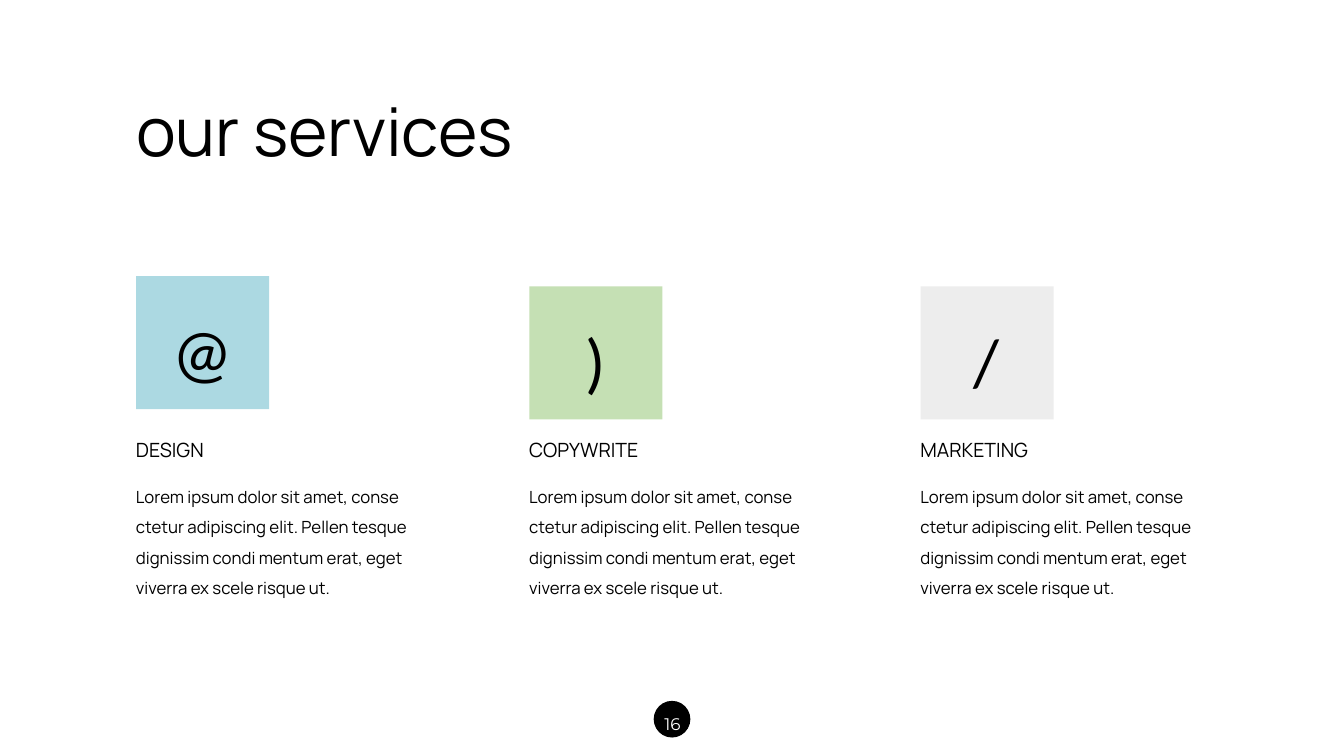
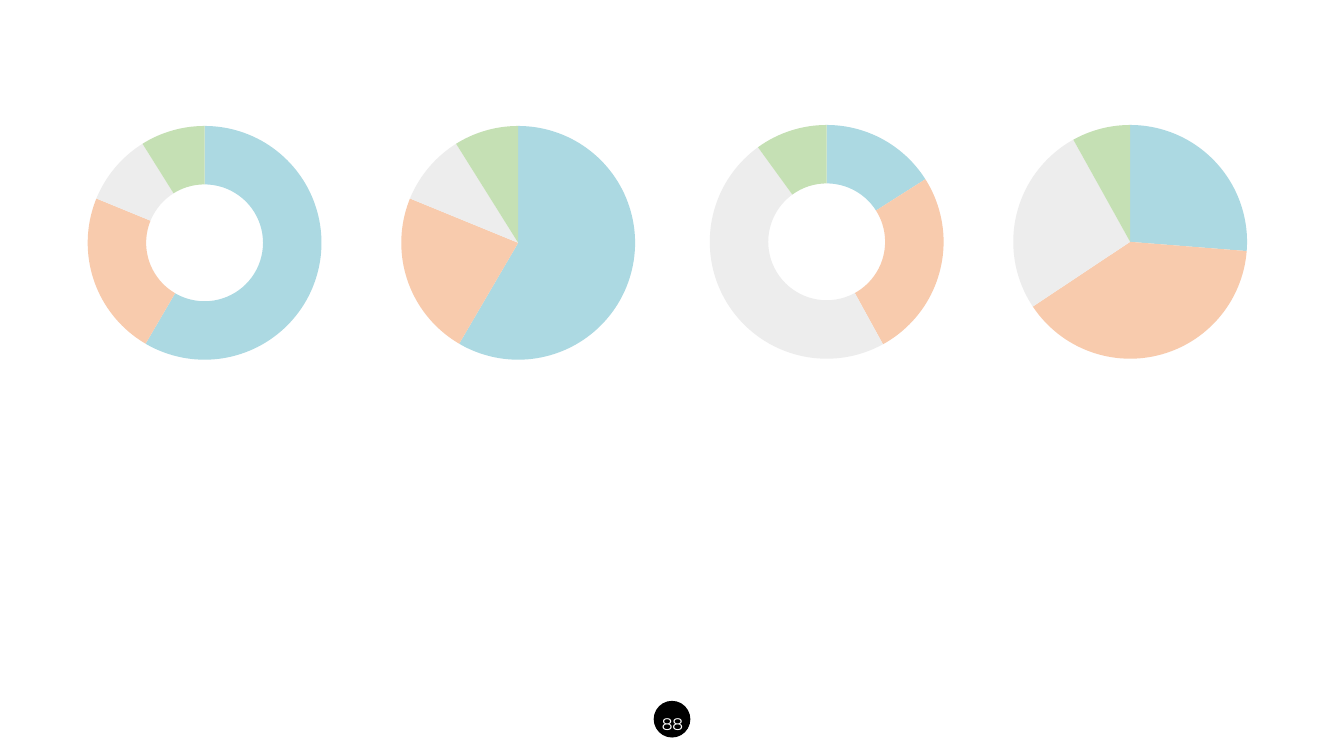
from dataclasses import dataclass

from lxml import etree
from pptx import Presentation
from pptx import util as u
from pptx.chart.data import CategoryChartData
from pptx.dml.color import RGBColor
from pptx.enum import chart as charts
from pptx.enum import shapes, text
from pptx.oxml import ns

COLORS = {
    "black": "000000",
    "white": "FFFFFF",
    "blue": "ACD9E2",
    "peach": "F8CBAD",
    "gray": "EDEDED",
    "green": "C5E0B4",
}
SLICE_COLORS = ("blue", "peach", "gray", "green")
BRAND_FONT, ICON_FONT, NUMBER_FONT = "Manrope", "Calibri", "Montserrat"
TITLE_ONLY, BLANK = 5, 6
TILE_SIZE = 1.32
CHART_WIDTH, CHART_HEIGHT, PIE_DIAMETER = 3.9, 2.6, 2.32
DESCRIPTION = (
    "Lorem ipsum dolor sit amet, conse ctetur adipiscing elit. Pellen tesque "
    "dignissim condi mentum erat, eget viverra ex scele risque ut."
)


@dataclass(frozen=True)
class Service:
    name: str
    icon: str
    color: str
    left: float
    tile_top: float


@dataclass(frozen=True)
class RoundChart:
    kind: charts.XL_CHART_TYPE
    values: tuple[int, ...]
    center: float
    top: float


SERVICES = (
    Service("DESIGN", "@", "blue", 1.25, 2.74),
    Service("COPYWRITE", ")", "green", 5.15, 2.84),
    Service("MARKETING", "/", "gray", 9.03, 2.84),
)
DOUGHNUT, PIE = charts.XL_CHART_TYPE.DOUGHNUT, charts.XL_CHART_TYPE.PIE
ROUND_CHARTS = (
    RoundChart(DOUGHNUT, (59, 23, 10, 9), 2.03, 1.11),
    RoundChart(PIE, (59, 23, 10, 9), 5.14, 1.11),
    RoundChart(DOUGHNUT, (16, 26, 48, 10), 8.2, 1.1),
    RoundChart(PIE, (26, 39, 26, 8), 11.21, 1.1),
)


def rgb(name: str) -> RGBColor:
    return RGBColor.from_string(COLORS[name])


def inches(*lengths: float) -> list[u.Length]:
    return [u.Inches(length) for length in lengths]


def write_text(shape, content: str, *, size: float, font: str = BRAND_FONT,
               color: str = "black", align=text.PP_ALIGN.LEFT, spacing: float = 1.0) -> None:
    frame = shape.text_frame
    frame.word_wrap = True
    frame.auto_size = text.MSO_AUTO_SIZE.NONE
    frame.vertical_anchor = text.MSO_ANCHOR.TOP
    frame.text = content
    paragraph = frame.paragraphs[0]
    paragraph.alignment = align
    paragraph.line_spacing = spacing
    paragraph.font.size = u.Pt(size)
    paragraph.font.name = font
    paragraph.font.color.rgb = rgb(color)


def add_text(slide, content: str, left: float, top: float, width: float,
             height: float, **style) -> None:
    box = slide.shapes.add_textbox(*inches(left, top, width, height))
    write_text(box, content, **style)


def add_filled_shape(slide, preset, color: str, left: float, top: float, size: float):
    shape = slide.shapes.add_shape(preset, *inches(left, top, size, size))
    shape.shadow.inherit = False
    shape.fill.solid()
    shape.fill.fore_color.rgb = rgb(color)
    shape.line.fill.background()
    return shape


def add_page_number(slide, number: int) -> None:
    badge = add_filled_shape(slide, shapes.MSO_SHAPE.OVAL, "black", 6.49, 6.96, 0.35)
    badge.line.color.rgb = rgb("black")
    badge.line.width = u.Pt(1)
    add_text(slide, str(number), 6.42, 6.93, 0.5, 0.37, size=12, font=NUMBER_FONT,
             color="white", align=text.PP_ALIGN.CENTER, spacing=1.5)


def add_service(slide, service: Service) -> None:
    tile_left = service.left + 0.1
    add_filled_shape(slide, shapes.MSO_SHAPE.RECTANGLE, service.color,
                     tile_left, service.tile_top, TILE_SIZE)
    add_text(slide, service.icon, tile_left + 0.25, service.tile_top + 0.28, 0.81, 0.91,
             size=48, font=ICON_FONT, align=text.PP_ALIGN.CENTER)
    add_text(slide, service.name, service.left, 4.3, 1.6, 0.34, size=14)
    add_text(slide, DESCRIPTION, service.left, 4.68, 3.04, 1.31, size=12, spacing=1.5)


def center_plot(chart) -> None:
    plot_area = chart.element.find(".//" + ns.qn("c:plotArea"))
    for old_layout in plot_area.findall(ns.qn("c:layout")):
        plot_area.remove(old_layout)
    layout = etree.Element(ns.qn("c:layout"))
    manual = etree.SubElement(layout, ns.qn("c:manualLayout"))
    width, height = PIE_DIAMETER / CHART_WIDTH, PIE_DIAMETER / CHART_HEIGHT
    settings = {
        "layoutTarget": "inner", "xMode": "edge", "yMode": "edge",
        "x": (1 - width) / 2, "y": (1 - height) / 2, "w": width, "h": height,
    }
    for tag, value in settings.items():
        etree.SubElement(manual, ns.qn(f"c:{tag}")).set("val", str(value))
    plot_area.insert(0, layout)


def add_round_chart(slide, item: RoundChart) -> None:
    data = CategoryChartData()
    data.categories = ["1", "2", "3", "4"]
    data.add_series("Series 1", item.values)
    position = inches(item.center - CHART_WIDTH / 2, item.top, CHART_WIDTH, CHART_HEIGHT)
    chart = slide.shapes.add_chart(item.kind, *position, data).chart
    chart.has_title = False
    chart.has_legend = False
    chart.font.size = u.Pt(10)
    chart.font.name = ICON_FONT
    chart.font.color.rgb = rgb("black")
    plot = chart.plots[0]
    plot.vary_by_categories = True
    for index, color in enumerate(SLICE_COLORS):
        piece = plot.series[0].points[index].format
        piece.fill.solid()
        piece.fill.fore_color.rgb = rgb(color)
        piece.line.fill.background()
    for hole in chart.element.iter(ns.qn("c:holeSize")):
        hole.set("val", "75")
    center_plot(chart)


def add_slide(presentation, layout: int, number: int):
    slide = presentation.slides.add_slide(presentation.slide_layouts[layout])
    add_page_number(slide, number)
    return slide


def build_services(presentation) -> None:
    slide = add_slide(presentation, TITLE_ONLY, 16)
    title = slide.shapes.title
    title.left, title.top, title.width, title.height = inches(1.25, 0.84, 4.25, 0.91)
    write_text(title, "our services", size=48)
    for service in SERVICES:
        add_service(slide, service)


def build_charts(presentation) -> None:
    slide = add_slide(presentation, BLANK, 88)
    for item in ROUND_CHARTS:
        add_round_chart(slide, item)


def main() -> None:
    presentation = Presentation()
    presentation.slide_width, presentation.slide_height = inches(13.33, 7.5)
    build_services(presentation)
    build_charts(presentation)
    presentation.save("out.pptx")


if __name__ == "__main__":
    main()
